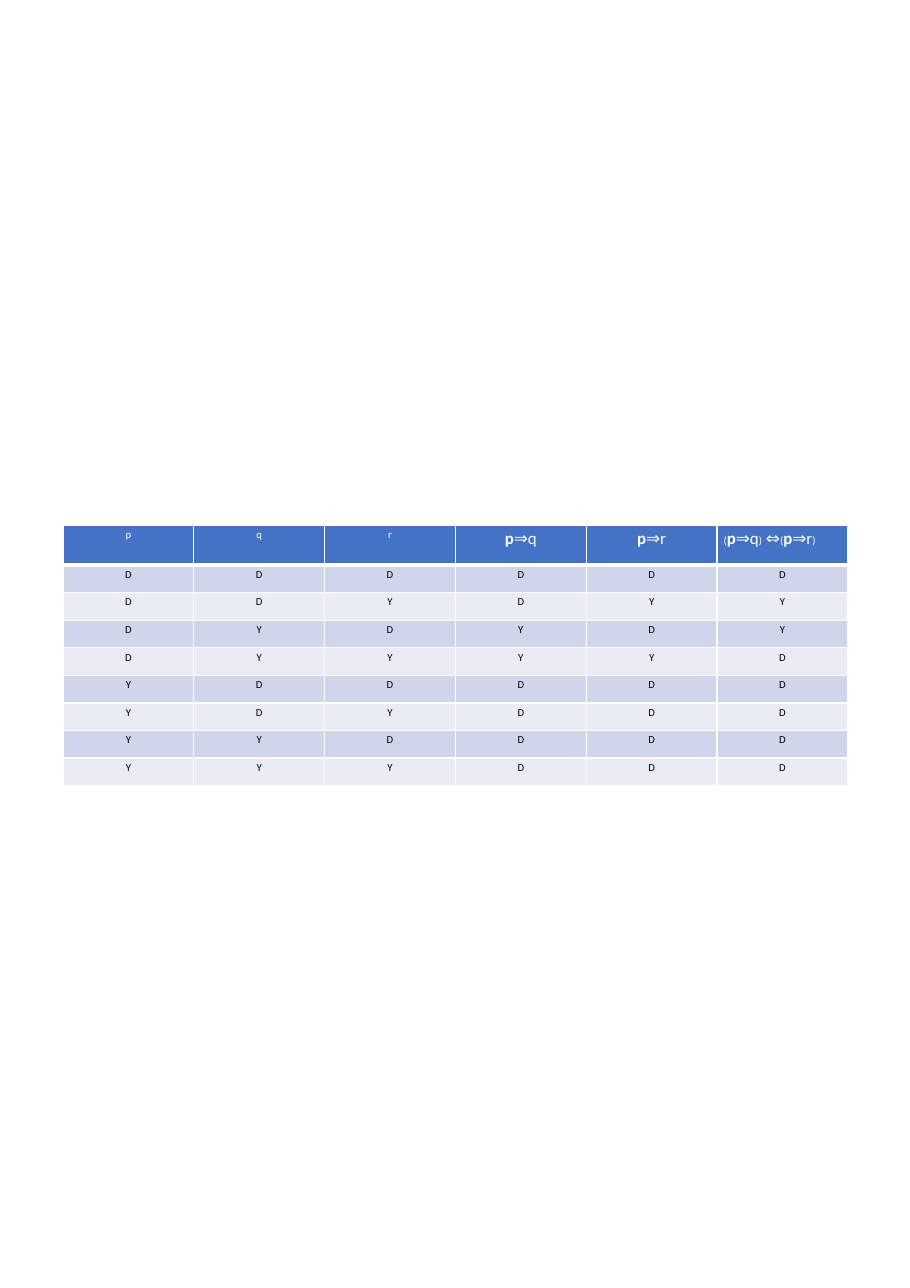
"""Build a slide with the truth table of (p⇒q) ⇔ (p⇒r)."""
import itertools
from dataclasses import dataclass

import pptx
import pptx.dml.color
import pptx.enum.text
import pptx.oxml.ns
import pptx.util
from lxml import etree

EMU_PER_PIXEL = 914400 / 110.2
WHITE, BLACK, HEADER_BLUE = "FFFFFF", "000000", "4472C4"
BAND_COLORS = ("CFD5EA", "E9EBF5")
SMALL, LARGE = 7, 11
CENTER = pptx.enum.text.PP_ALIGN.CENTER
LEFT = pptx.enum.text.PP_ALIGN.LEFT


@dataclass(frozen=True)
class Piece:
    text: str
    size: int = SMALL
    bold: bool = False


@dataclass(frozen=True)
class CellStyle:
    fill: str
    ink: str
    bottom_line: int = 1


def px(pixels: int) -> int:
    return round(pixels * EMU_PER_PIXEL)


def color(code: str) -> pptx.dml.color.RGBColor:
    return pptx.dml.color.RGBColor.from_string(code)


def implies(premise: str, conclusion: str) -> str:
    return "Y" if (premise, conclusion) == ("D", "Y") else "D"


def implication(conclusion: str) -> list[Piece]:
    return [Piece("p", LARGE, True), Piece("⇒" + conclusion, LARGE)]


def truth_row(p: str, q: str, r: str) -> list[str]:
    p_q, p_r = implies(p, q), implies(p, r)
    return [p, q, r, p_q, p_r, "D" if p_q == p_r else "Y"]


def draw_borders(cell, bottom_line: int) -> None:
    properties = cell._tc.get_or_add_tcPr()
    for side, width in (("L", 1), ("R", 1), ("T", 1), ("B", bottom_line)):
        line = etree.SubElement(properties, pptx.oxml.ns.qn(f"a:ln{side}"), w=str(pptx.util.Pt(width)))
        solid = etree.SubElement(line, pptx.oxml.ns.qn("a:solidFill"))
        etree.SubElement(solid, pptx.oxml.ns.qn("a:srgbClr"), val=WHITE)


def fill_cell(cell, pieces: list[Piece], style: CellStyle, alignment=CENTER) -> None:
    draw_borders(cell, style.bottom_line)
    cell.fill.solid()
    cell.fill.fore_color.rgb = color(style.fill)
    cell.margin_left = cell.margin_right = pptx.util.Inches(0.06)
    cell.margin_top = cell.margin_bottom = pptx.util.Inches(0.03)
    paragraph = cell.text_frame.paragraphs[0]
    paragraph.alignment = alignment
    for piece in pieces:
        run = paragraph.add_run()
        run.text = piece.text
        run.font.name = "Calibri"
        run.font.size = pptx.util.Pt(piece.size)
        run.font.bold = piece.bold
        run.font.color.rgb = color(style.ink)


def main() -> None:
    presentation = pptx.Presentation()
    presentation.slide_width, presentation.slide_height = px(910), px(1288)
    slide = presentation.slides.add_slide(presentation.slide_layouts[6])

    equivalence = [Piece("("), *implication("q"), Piece(")"), Piece(" ⇔", LARGE),
                   Piece("("), *implication("r"), Piece(")")]
    headings = [[Piece(name)] for name in "pqr"]
    headings += [implication("q"), implication("r"), equivalence]
    truth_rows = [truth_row(*values) for values in itertools.product("DY", repeat=3)]

    table_width, header_height, body_height = px(785), px(40), px(221)
    truth_table = slide.shapes.add_table(
        len(truth_rows) + 1, len(headings), px(63), px(525),
        table_width, header_height + body_height).table
    truth_table.horz_banding = False
    for column in truth_table.columns:
        column.width = table_width // len(headings)
    for row in truth_table.rows:
        row.height = body_height // len(truth_rows)
    truth_table.rows[0].height = header_height

    header_style = CellStyle(HEADER_BLUE, WHITE, bottom_line=3)
    for column_index, heading in enumerate(headings):
        alignment = LEFT if heading is equivalence else CENTER
        fill_cell(truth_table.cell(0, column_index), heading, header_style, alignment)
    band_styles = itertools.cycle(CellStyle(fill, BLACK) for fill in BAND_COLORS)
    for row_index, (values, style) in enumerate(zip(truth_rows, band_styles), start=1):
        for column_index, value in enumerate(values):
            fill_cell(truth_table.cell(row_index, column_index), [Piece(value)], style)

    presentation.save("out.pptx")


main()
